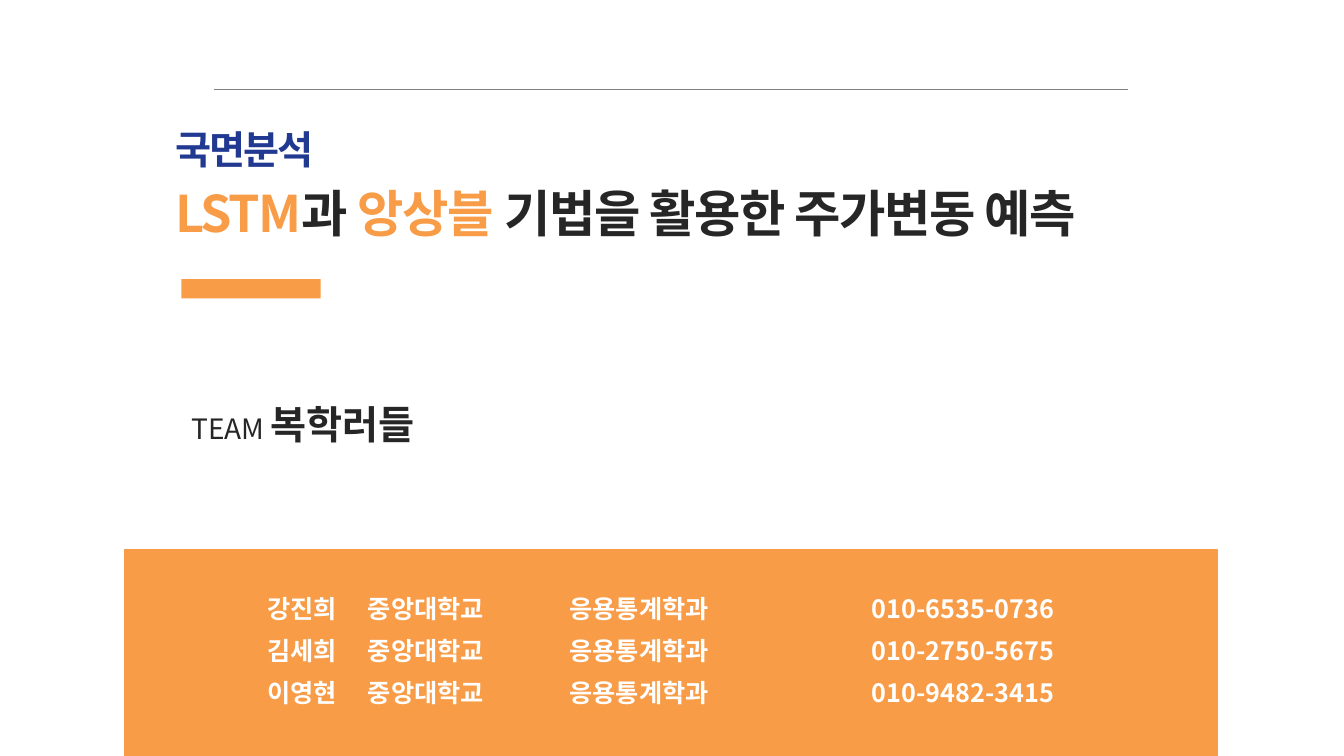
import pptx
import pptx.dml.color
import pptx.enum.shapes
import pptx.oxml.ns
import pptx.util
from lxml import etree

Inches = pptx.util.Inches
Pt = pptx.util.Pt
FONT = "Noto Sans CJK KR"
ORANGE = "F89C48"
NAVY = "213991"
DARK = "262626"
GRAY = "808080"
WHITE = "FFFFFF"


def color(value):
    return pptx.dml.color.RGBColor.from_string(value)


def add_bar(slide, left, top, width, height):
    bar = slide.shapes.add_shape(
        pptx.enum.shapes.MSO_SHAPE.RECTANGLE,
        Inches(left), Inches(top), Inches(width), Inches(height))
    bar.shadow.inherit = False
    bar.fill.solid()
    bar.fill.fore_color.rgb = color(ORANGE)
    bar.line.fill.background()
    return bar


def add_rule(slide, left, top, width):
    rule = slide.shapes.add_connector(
        pptx.enum.shapes.MSO_CONNECTOR.STRAIGHT,
        Inches(left), Inches(top), Inches(left + width), Inches(top))
    rule.line.color.rgb = color(GRAY)
    rule.line.width = Pt(0.5)
    etree.SubElement(rule.element.spPr, pptx.oxml.ns.qn("a:effectLst"))


def add_run(paragraph, text, size, text_color, bold=True, spacing=0):
    run = paragraph.add_run()
    run.text = text
    run.font.size = Pt(size)
    run.font.bold = bold
    run.font.color.rgb = color(text_color)
    run.font.name = FONT
    properties = run.font._element
    east_asian = etree.SubElement(properties, pptx.oxml.ns.qn("a:ea"))
    east_asian.set("typeface", FONT)
    if spacing:
        properties.set("spc", str(int(spacing * 100)))


def add_tab_stops(paragraph, positions):
    properties = paragraph._p.get_or_add_pPr()
    tab_list = etree.SubElement(properties, pptx.oxml.ns.qn("a:tabLst"))
    for position in positions:
        tab = etree.SubElement(tab_list, pptx.oxml.ns.qn("a:tab"))
        tab.set("pos", str(Inches(position)))
        tab.set("algn", "l")


def add_text(slide, left, top, width, height, lines, gap=0, tab_stops=()):
    box = slide.shapes.add_textbox(
        Inches(left), Inches(top), Inches(width), Inches(height))
    frame = box.text_frame
    frame.word_wrap = True
    for index, runs in enumerate(lines):
        paragraph = frame.add_paragraph() if index else frame.paragraphs[0]
        paragraph.space_after = Pt(gap)
        if tab_stops:
            add_tab_stops(paragraph, tab_stops)
        for run in runs:
            add_run(paragraph, *run)


def add_heading(slide, left, top, width):
    add_rule(slide, left + 0.48, top - 0.3, 9.07)
    add_text(slide, left, top, 1.69, 0.57,
             [[("국면분석", 28, NAVY, True, -1.5)]])
    title = [("LSTM", ORANGE, -1.5), ("과 ", DARK, -1), ("앙상블", ORANGE, -1),
             (" 기법을 활용한 주가변동 예측", DARK, -1)]
    add_text(slide, left, top + 0.57, width, 0.71,
             [[(text, 36, text_color, True, spacing)
               for text, text_color, spacing in title]])
    add_bar(slide, left + 0.16, top + 1.58, 1.38, 0.19)


def add_team(slide, left, top, width):
    add_text(slide, left, top, width, 0.57,
             [[("TEAM ", 20, DARK, False), ("복학러들", 28, DARK)]])


def add_members(slide, left, top, width, height):
    panel = add_bar(slide, left, top, width, height)
    panel.line.color.rgb = color(ORANGE)
    panel.line.width = Pt(1)
    members = [("강진희", "010-6535-0736"),
               ("김세희", "010-2750-5675"),
               ("이영현", "010-9482-3415")]
    lines = [[(f"{name}\t중앙대학교\t응용통계학과\t\t{phone}", 18, WHITE)]
             for name, phone in members]
    add_text(slide, left + 1.31, top + 0.39, 8.21, 1.26, lines,
             gap=8.4, tab_stops=(1, 3, 5, 6))


def main():
    presentation = pptx.Presentation()
    presentation.slide_width = Inches(13.33)
    presentation.slide_height = Inches(7.5)
    slide = presentation.slides.add_slide(presentation.slide_layouts[6])
    add_members(slide, 1.24, 5.45, 10.83, 2.05)
    add_heading(slide, 1.64, 1.19, 9.97)
    add_team(slide, 1.8, 3.92, 6.6)
    presentation.save("out.pptx")


if __name__ == "__main__":
    main()
